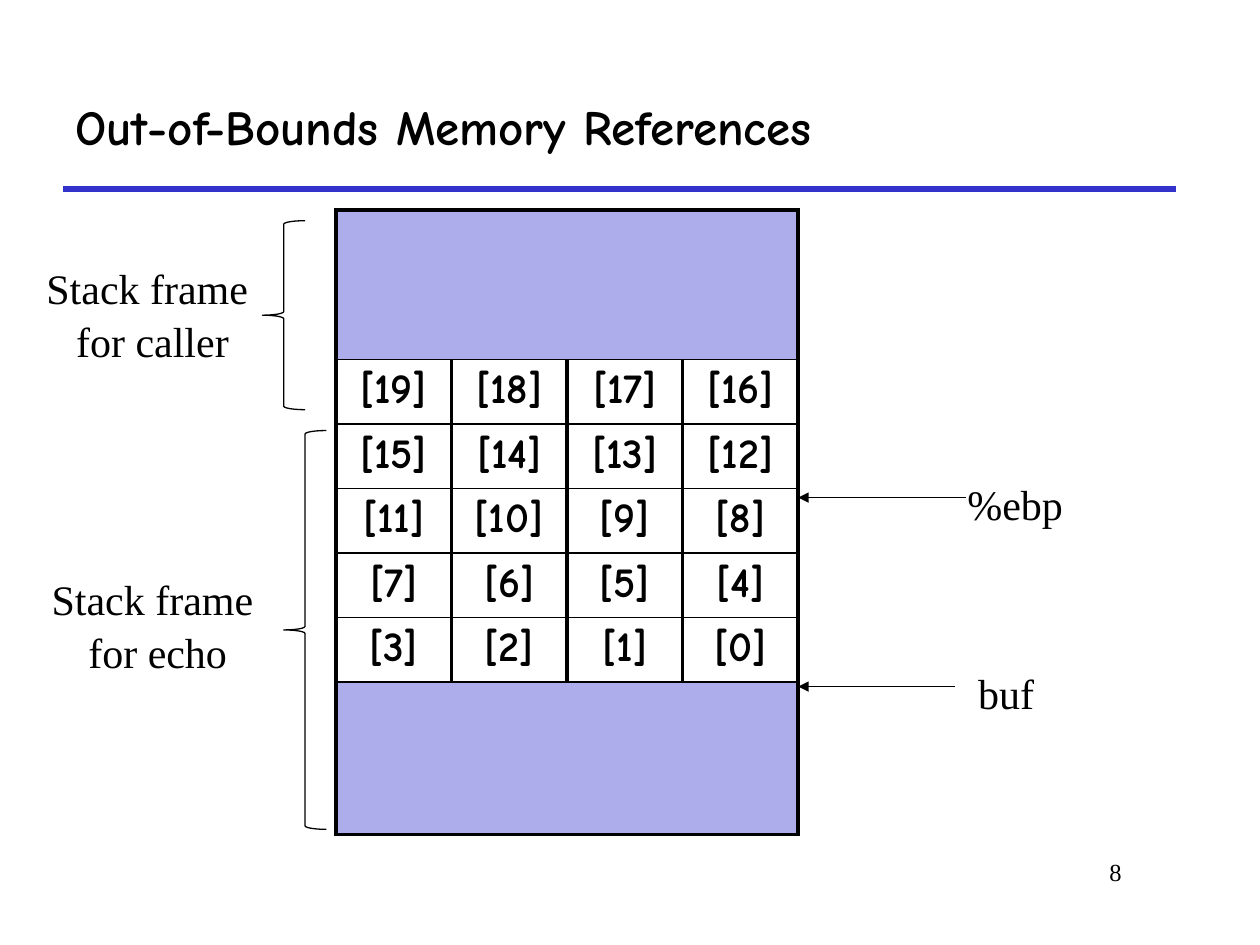
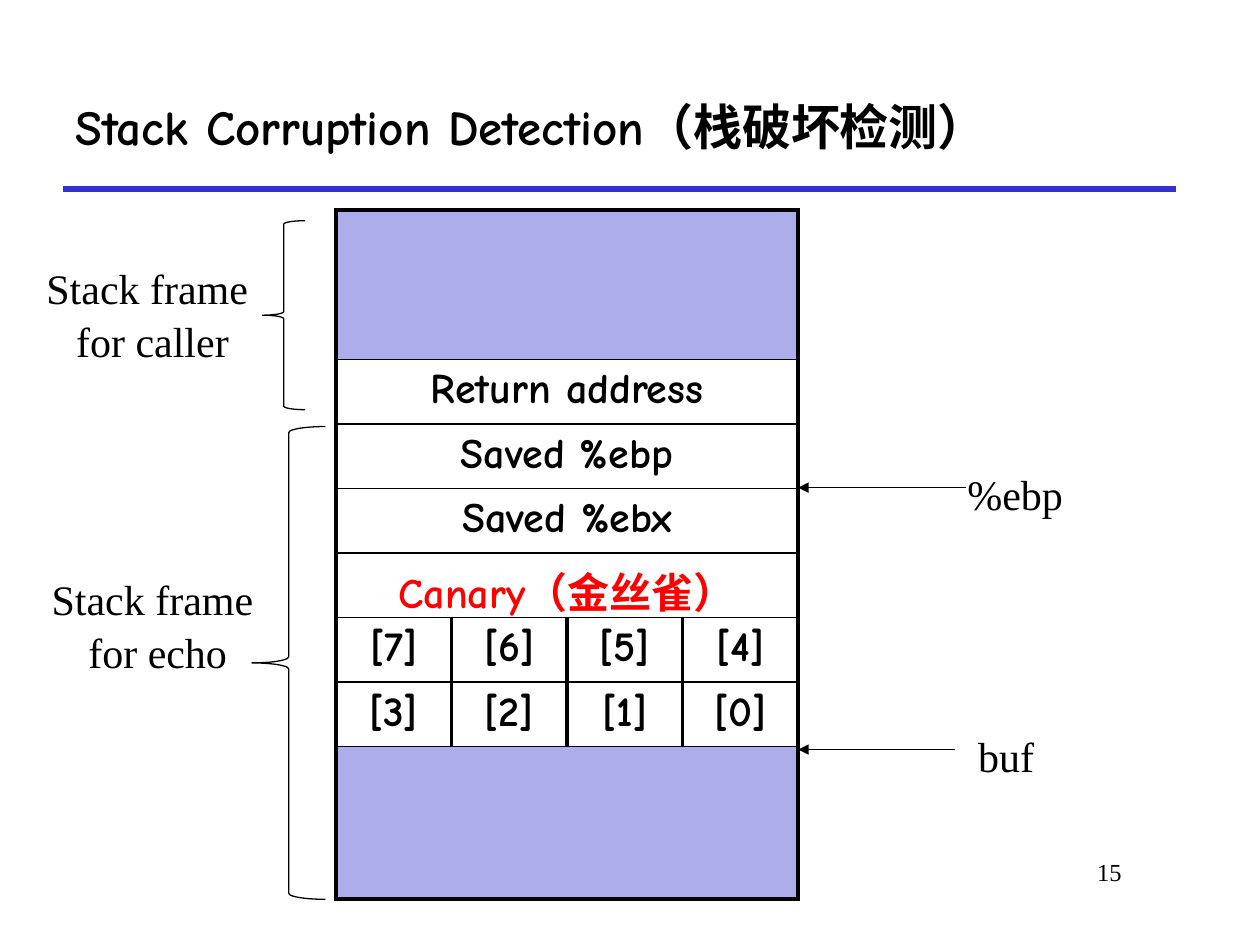
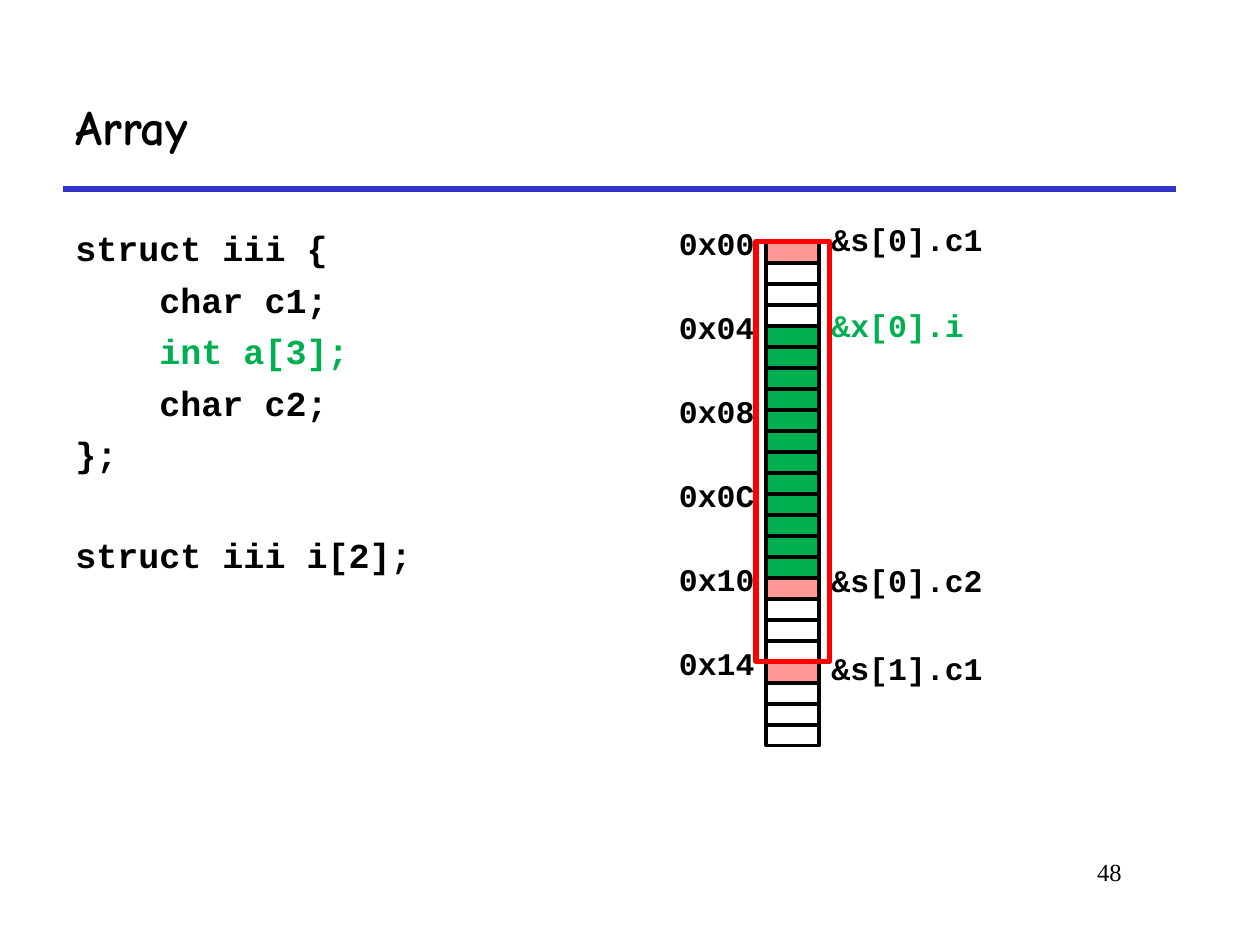
from dataclasses import dataclass, replace

from lxml import etree
from pptx import Presentation
from pptx.dml.color import RGBColor
from pptx.enum.shapes import MSO_CONNECTOR, MSO_SHAPE
from pptx.enum.text import MSO_ANCHOR, PP_ALIGN
from pptx.oxml.ns import qn
from pptx.shapes.autoshape import Shape
from pptx.shapes.connector import Connector
from pptx.slide import Slide
from pptx.table import _Cell
from pptx.text.text import _Paragraph
from pptx.util import Cm, Pt

STRAIGHT = MSO_CONNECTOR.STRAIGHT
RECTANGLE, LEFT_BRACE = MSO_SHAPE.RECTANGLE, MSO_SHAPE.LEFT_BRACE
LEFT, CENTER, RIGHT = PP_ALIGN.LEFT, PP_ALIGN.CENTER, PP_ALIGN.RIGHT
TOP, MIDDLE = MSO_ANCHOR.TOP, MSO_ANCHOR.MIDDLE

COLOURS = {
    "black": "000000",
    "rule": "3333CC",
    "stack": "ADADEB",
    "alert": "FF0000",
    "char": "FF9797",
    "int": "00B050",
}


@dataclass(frozen=True)
class Box:
    """Position and size in centimetres."""
    left: float
    top: float
    width: float
    height: float

    def lengths(self) -> tuple[Cm, Cm, Cm, Cm]:
        return Cm(self.left), Cm(self.top), Cm(self.width), Cm(self.height)


@dataclass(frozen=True)
class TextStyle:
    font: str
    size: float
    bold: bool = False
    colour: str = "black"


@dataclass(frozen=True)
class StackRow:
    """One table row; a single cell spans all columns."""
    cells: tuple[str, ...]
    height: float = 1.3
    fill: str | None = None
    colour: str = "black"


@dataclass(frozen=True)
class StackSlide:
    title: str
    number: int
    rows: tuple[StackRow, ...]
    ebp_y: float
    buf_y: float
    echo_brace: Box


TITLE = TextStyle("Comic Neue", 28, bold=True)
CELL = TextStyle("Comic Neue", 24, bold=True)
LABEL = TextStyle("Times New Roman", 24)
NUMBER = TextStyle("Times New Roman", 14)
CODE = TextStyle("Courier New", 20, bold=True)
ADDRESS = TextStyle("Courier New", 18, bold=True)

# Stack table
TABLE_LEFT, TABLE_TOP = 6.77, 4.23
COLUMNS, COLUMN_WIDTH = 4, 2.33
TABLE_RIGHT = 16.09
THICK, THIN = 2.25, 1.0
CALLER_SPACE = StackRow(("",), 3.02, "stack")
FREE_SPACE = StackRow(("",), 3.07, "stack")

# Byte column
BYTES, BYTES_PER_ELEMENT, WORD = 24, 20, 4
COLUMN_LEFT, COLUMN_TOP, BYTE_WIDTH = 15.45, 4.87, 1.06
BYTE_HEIGHT = 10.16 / BYTES
CHAR_BYTES, INT_BYTES = (0, 16, 20), range(4, 16)
CODE_GAP, CODE_LINE = 5.4, 28.1


def rgb(name: str) -> RGBColor:
    return RGBColor.from_string(COLOURS[name])


def apply_style(paragraph: _Paragraph, style: TextStyle) -> None:
    font = paragraph.font
    font.name, font.size, font.bold = style.font, Pt(style.size), style.bold
    font.color.rgb = rgb(style.colour)


def add_text(slide: Slide, box: Box, lines: tuple[str, ...], style: TextStyle,
             alignment: PP_ALIGN = LEFT, anchor: MSO_ANCHOR = TOP,
             gap: float = 0, wrap: bool = True) -> list[_Paragraph]:
    frame = slide.shapes.add_textbox(*box.lengths()).text_frame
    frame.word_wrap = wrap
    frame.vertical_anchor = anchor
    for index, line in enumerate(lines):
        paragraph = frame.add_paragraph() if index else frame.paragraphs[0]
        paragraph.text = line
        paragraph.alignment = alignment
        if index and gap:
            paragraph.space_before = Pt(gap)
        apply_style(paragraph, style)
    return list(frame.paragraphs)


def add_line(slide: Slide, start: tuple[float, float], end: tuple[float, float],
             colour: str, width: float) -> Connector:
    line = slide.shapes.add_connector(STRAIGHT, *map(Cm, start + end))
    line.line.color.rgb = rgb(colour)
    line.line.width = Pt(width)
    etree.SubElement(line._element.spPr, qn("a:effectLst"))
    return line


def add_outline(slide: Slide, kind: MSO_SHAPE, box: Box, width: float,
                colour: str = "black", fill: str | None = None) -> Shape:
    shape = slide.shapes.add_shape(kind, *box.lengths())
    shape.shadow.inherit = False
    shape.line.color.rgb = rgb(colour)
    shape.line.width = Pt(width)
    if fill:
        shape.fill.solid()
        shape.fill.fore_color.rgb = rgb(fill)
    else:
        shape.fill.background()
    return shape


def add_base(presentation: Presentation, title: str, number: int) -> Slide:
    """Add a slide with the shared title, rule and page number."""
    slide = presentation.slides.add_slide(presentation.slide_layouts[6])
    add_line(slide, (1.27, 3.81), (23.7, 3.81), "rule", 3)
    add_text(slide, Box(19.25, 17.15, 3.61, 1.27), (str(number),), NUMBER, RIGHT)
    add_text(slide, Box(1.27, 1.27, 23.06, 2.54), (title,), TITLE, anchor=MIDDLE)
    return slide


def set_borders(cell: _Cell, top: float, bottom: float) -> None:
    properties = cell._tc.get_or_add_tcPr()
    for side, width in (("L", THICK), ("R", THICK), ("T", top), ("B", bottom)):
        border = etree.SubElement(properties, qn(f"a:ln{side}"), w=str(Pt(width)))
        fill = etree.SubElement(border, qn("a:solidFill"))
        etree.SubElement(fill, qn("a:srgbClr"), val=COLOURS["black"])


def add_stack_table(slide: Slide, rows: tuple[StackRow, ...]) -> None:
    box = Box(TABLE_LEFT, TABLE_TOP, COLUMNS * COLUMN_WIDTH,
              sum(row.height for row in rows))
    table = slide.shapes.add_table(len(rows), COLUMNS, *box.lengths()).table
    table.first_row = table.horz_banding = False
    for column in table.columns:
        column.width = Cm(COLUMN_WIDTH)
    last = len(rows) - 1
    for index, row in enumerate(rows):
        table.rows[index].height = Cm(row.height)
        cells = [table.cell(index, column) for column in range(COLUMNS)]
        for cell in cells:
            set_borders(cell, THIN if index else THICK,
                        THIN if index < last else THICK)
            if row.fill:
                cell.fill.solid()
                cell.fill.fore_color.rgb = rgb(row.fill)
            else:
                cell.fill.background()
        if len(row.cells) == 1:
            cells[0].merge(cells[-1])
        for cell, text in zip(cells, row.cells):
            if text:
                cell.text = text
                paragraph = cell.text_frame.paragraphs[0]
                paragraph.alignment = CENTER
                apply_style(paragraph, replace(CELL, colour=row.colour))


def add_pointer(slide: Slide, y: float, start: float, label: Box, text: str,
                wrap: bool) -> None:
    arrow = add_line(slide, (start, y), (TABLE_RIGHT, y), "black", 0.75)
    etree.SubElement(arrow.line._get_or_add_ln(), qn("a:tailEnd"), type="triangle")
    add_text(slide, label, (text,), LABEL, wrap=wrap)


def add_frame_label(slide: Slide, brace: Box, label: Box,
                    lines: tuple[str, ...]) -> None:
    shape = add_outline(slide, LEFT_BRACE, brace, 0.75)
    shape.adjustments[0] = 0.083
    add_text(slide, label, lines, LABEL, CENTER, gap=1.5)


def byte_rows(highest: int) -> tuple[StackRow, ...]:
    """Rows of buffer indices, counting down from the highest to 0."""
    return tuple(
        StackRow(tuple(f"[{first - step}]" for step in range(COLUMNS)))
        for first in range(highest, 0, -COLUMNS))


def add_stack_slide(presentation: Presentation, content: StackSlide) -> None:
    slide = add_base(presentation, content.title, content.number)
    add_stack_table(slide, content.rows)
    add_pointer(slide, content.ebp_y, 19.47,
                Box(19.25, content.ebp_y - 0.51, 2.97, 1.27), "%ebp", True)
    add_pointer(slide, content.buf_y, 19.25,
                Box(19.47, content.buf_y - 0.51, 1.65, 1.27), "buf", False)
    add_frame_label(slide, Box(5.29, 4.45, 0.86, 3.81),
                    Box(0.64, 5.16, 4.66, 2.51), ("Stack frame", " for caller"))
    add_frame_label(slide, content.echo_brace,
                    Box(0.64, 11.43, 5.08, 2.51), ("Stack frame ", "for echo"))


def add_array_slide(presentation: Presentation) -> None:
    slide = add_base(presentation, "Array", 48)

    # Struct declaration
    code = ("struct iii {", "    char c1;", "    int a[3];", "    char c2;", "};",
            "struct iii i[2];")
    paragraphs = add_text(slide, Box(1.27, 4.45, 8.47, 10.8), code, CODE,
                          gap=CODE_GAP)
    paragraphs[2].font.color.rgb = rgb("int")
    paragraphs[-1].space_before = Pt(CODE_GAP + CODE_LINE)

    # Bytes in memory
    fills = dict.fromkeys(CHAR_BYTES, "char") | dict.fromkeys(INT_BYTES, "int")
    for index in range(BYTES):
        top = COLUMN_TOP + index * BYTE_HEIGHT
        add_outline(slide, RECTANGLE, Box(COLUMN_LEFT, top, BYTE_WIDTH, BYTE_HEIGHT),
                    2.25, fill=fills.get(index))
        if index % WORD == 0:
            add_text(slide, Box(13.34, top - 0.48, 2.12, 1.02),
                     (f"0x{index:02X}",), ADDRESS, RIGHT)

    # Member addresses
    for text, top, colour in (("&s[0].c1", 4.32, "black"), ("&x[0].i", 6.05, "int"),
                              ("&s[0].c2", 11.18, "black"),
                              ("&s[1].c1", 12.95, "black")):
        add_text(slide, Box(16.51, top, 3.81, 1.02), (text,),
                 replace(ADDRESS, colour=colour))

    # Frame around the first array element
    add_outline(slide, RECTANGLE,
                Box(15.24, COLUMN_TOP, 1.48, BYTES_PER_ELEMENT * BYTE_HEIGHT),
                3, "alert")


def main() -> None:
    presentation = Presentation()
    presentation.slide_width, presentation.slide_height = Cm(25.4), Cm(19.05)
    add_stack_slide(presentation, StackSlide(
        "Out-of-Bounds Memory References", 8,
        (CALLER_SPACE, *byte_rows(19), FREE_SPACE),
        ebp_y=10.03, buf_y=13.84, echo_brace=Box(5.72, 8.68, 0.86, 8.04)))
    add_stack_slide(presentation, StackSlide(
        "Stack Corruption Detection（栈破坏检测）", 15,
        (CALLER_SPACE, StackRow(("Return address",)), StackRow(("Saved %ebp",)),
         StackRow(("Saved %ebx",)), StackRow(("Canary（金丝雀）",), colour="alert"),
         *byte_rows(7), FREE_SPACE),
        ebp_y=9.83, buf_y=15.11, echo_brace=Box(5.08, 8.6, 1.48, 9.53)))
    add_array_slide(presentation)
    presentation.save("out.pptx")


if __name__ == "__main__":
    main()
